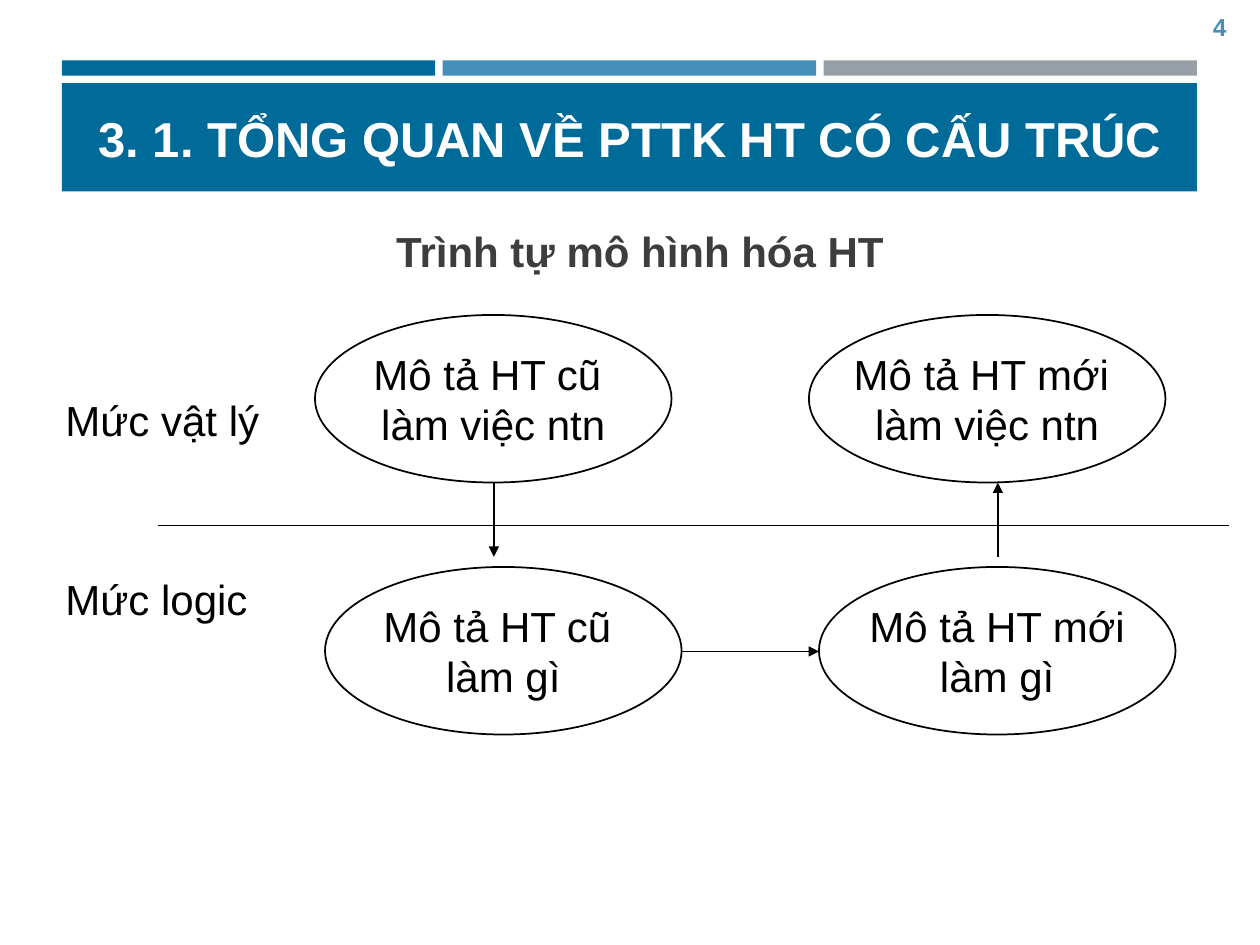
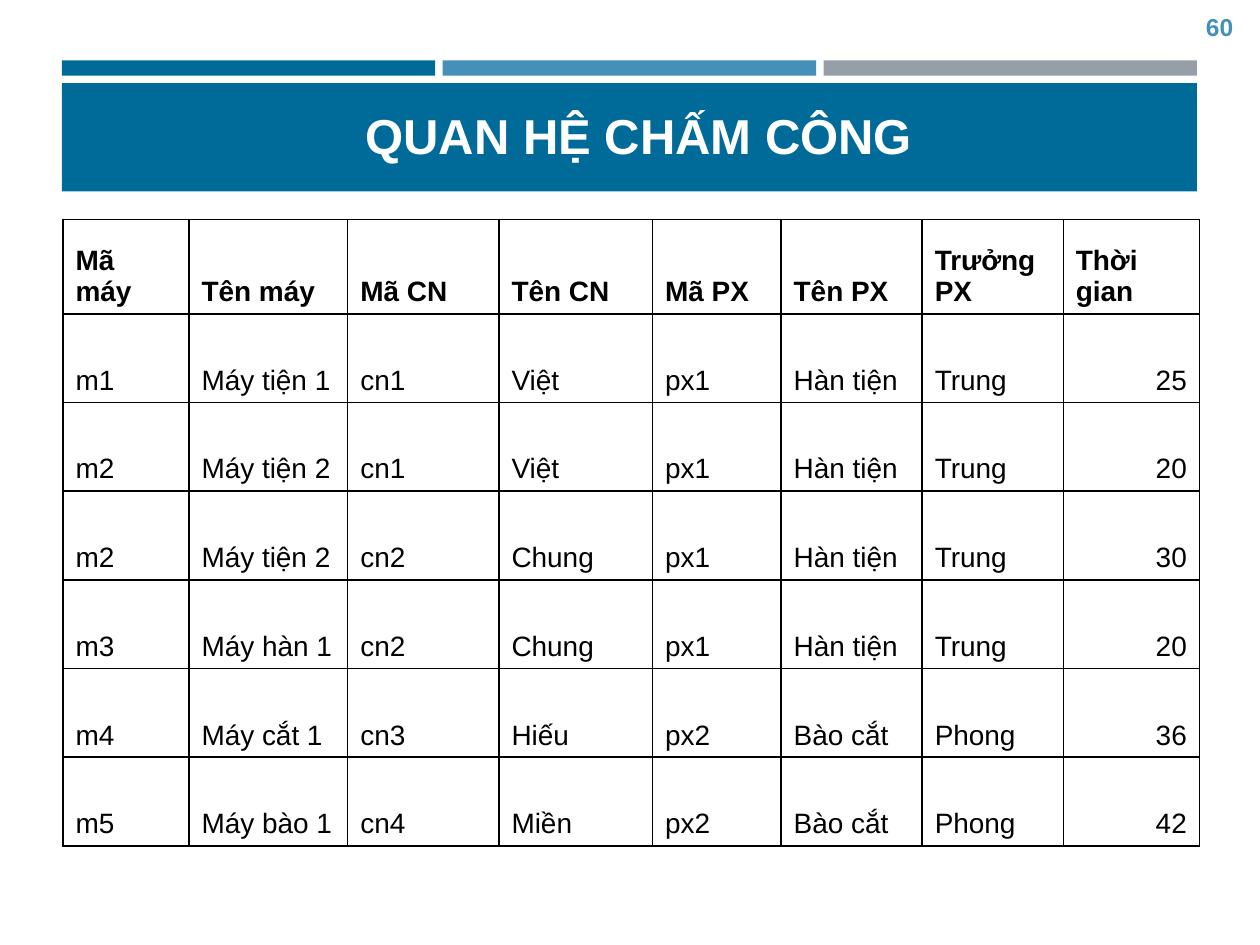
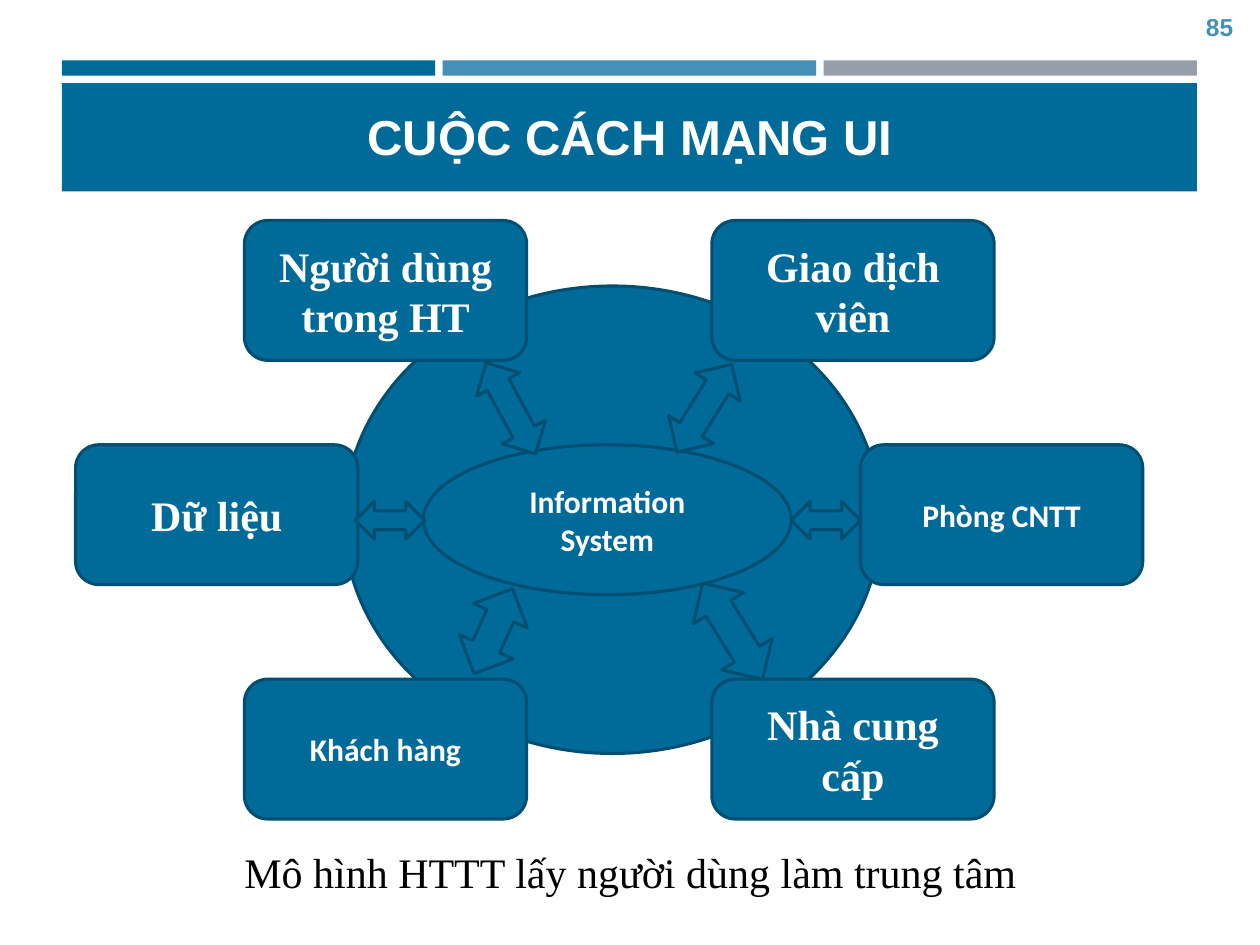
"""Build three lecture slides on structured system analysis and design."""
from dataclasses import dataclass

from lxml.etree import SubElement
from pptx import Presentation
from pptx.dml.color import RGBColor
from pptx.enum.shapes import MSO_CONNECTOR as Link, MSO_SHAPE as Shape
from pptx.enum.text import MSO_ANCHOR as Anchor, PP_ALIGN as Align
from pptx.oxml.ns import qn
from pptx.util import Inches, Pt


@dataclass(frozen=True)
class TextStyle:
    """Font, size, colour and weight of a text."""
    font: str
    size: int
    color: str
    bold: bool = False


@dataclass(frozen=True)
class Theme:
    """Colours, line widths and text styles of the deck."""
    blue: str = "006A99"
    sky: str = "4590B8"
    gray: str = "969FA7"
    navy: str = "004E71"
    black: str = "000000"
    thin: float = 1
    thick: float = 1.75
    title: TextStyle = TextStyle("Arial", 28, "FFFFFF", True)
    number: TextStyle = TextStyle("Arial", 14, "4590B8", True)
    heading: TextStyle = TextStyle("Arial", 24, "3D3D3D", True)
    diagram: TextStyle = TextStyle("Arial", 24, "000000")
    table_head: TextStyle = TextStyle("Arial", 16, "000000", True)
    table_body: TextStyle = TextStyle("Arial", 16, "000000")
    serif: TextStyle = TextStyle("Times New Roman", 24, "FFFFFF", True)
    sans: TextStyle = TextStyle("Calibri", 18, "FFFFFF", True)
    caption: TextStyle = TextStyle("Times New Roman", 24, "000000")


THEME = Theme()
COLUMNS, ROWS = 100, 75
EDGE, BAND_WIDTH, BAND_GAP = 4.9, 90.1, 0.6

ATTENDANCE = [
    ("Mã máy", "Tên máy", "Mã CN", "Tên CN", "Mã PX", "Tên PX", "Trưởng PX", "Thời gian"),
    ("m1", "Máy tiện 1", "cn1", "Việt", "px1", "Hàn tiện", "Trung", "25"),
    ("m2", "Máy tiện 2", "cn1", "Việt", "px1", "Hàn tiện", "Trung", "20"),
    ("m2", "Máy tiện 2", "cn2", "Chung", "px1", "Hàn tiện", "Trung", "30"),
    ("m3", "Máy hàn 1", "cn2", "Chung", "px1", "Hàn tiện", "Trung", "20"),
    ("m4", "Máy cắt 1", "cn3", "Hiếu", "px2", "Bào cắt", "Phong", "36"),
    ("m5", "Máy bào 1", "cn4", "Miền", "px2", "Bào cắt", "Phong", "42"),
]


def grid(*cells):
    """Turn grid cells of a tenth of an inch into lengths."""
    return [Inches(cell / 10) for cell in cells]


def write(frame, text, style, align=Align.CENTER, anchor=Anchor.MIDDLE, wrap=True):
    """Fill a text frame and format every run."""
    frame.text = text
    frame.word_wrap = wrap
    frame.vertical_anchor = anchor
    for para in frame.paragraphs:
        para.alignment = align
        for span in para.runs:
            span.font.name = style.font
            span.font.size = Pt(style.size)
            span.font.bold = style.bold
            span.font.color.rgb = RGBColor.from_string(style.color)


def add_text(page, area, text, style, align=Align.CENTER, anchor=Anchor.TOP):
    """Add a text box."""
    box = page.shapes.add_textbox(*grid(*area))
    write(box.text_frame, text, style, align, anchor)


def add_figure(page, kind, area, fill=None, line=None, width=THEME.thin, turn=0):
    """Add a preset shape with the given fill and outline."""
    figure = page.shapes.add_shape(kind, *grid(*area))
    figure.shadow.inherit = False
    figure.rotation = turn
    if fill:
        figure.fill.solid()
        figure.fill.fore_color.rgb = RGBColor.from_string(fill)
    else:
        figure.fill.background()
    if line:
        figure.line.color.rgb = RGBColor.from_string(line)
        figure.line.width = Pt(width)
    else:
        figure.line.fill.background()
    return figure


def add_blue(page, kind, area, text="", style=THEME.sans, turn=0):
    """Add a blue shape with a navy outline."""
    figure = add_figure(page, kind, area, THEME.blue, THEME.navy, THEME.thick, turn)
    if text:
        write(figure.text_frame, text, style)


def add_line(page, start, end, arrow=True):
    """Add a straight black line, with an arrowhead at its end if wanted."""
    line = page.shapes.add_connector(Link.STRAIGHT, *grid(*start, *end))
    line.line.color.rgb = RGBColor.from_string(THEME.black)
    line.line.width = Pt(THEME.thin)
    if arrow:
        SubElement(line.line._get_or_add_ln(), qn("a:tailEnd"), type="triangle")
    SubElement(line._element.spPr, qn("a:effectLst"))


def add_page(deck, number, title, title_area):
    """Add a page with its bands, title and page number."""
    page = deck.slides.add_slide(deck.slide_layouts[6])
    width = (BAND_WIDTH - 2 * BAND_GAP) / 3
    for index, color in enumerate((THEME.blue, THEME.sky, THEME.gray)):
        left = EDGE + index * (width + BAND_GAP)
        add_figure(page, Shape.RECTANGLE, (left, 4.8, width, 1.2), color)
    add_figure(page, Shape.RECTANGLE, (EDGE, 6.6, BAND_WIDTH, 8.6), THEME.blue)
    add_text(page, title_area, title, THEME.title, anchor=Anchor.BOTTOM)
    add_text(page, (93.6, 0.1, 6.4, 4), str(number), THEME.number, anchor=Anchor.MIDDLE)
    return page


def border_cell(cell):
    """Draw a thin black border on all sides of a table cell."""
    properties = cell._tc.get_or_add_tcPr()
    for side in ("lnL", "lnR", "lnT", "lnB"):
        edge = SubElement(properties, qn(f"a:{side}"), w=str(Pt(THEME.thin)))
        fill = SubElement(edge, qn("a:solidFill"))
        SubElement(fill, qn("a:srgbClr"), val=THEME.black)


def add_grid_table(page, left, top, rows, widths, heights):
    """Add a plain bordered table with a bold head and numbers at the right."""
    area = grid(left, top, sum(widths), sum(heights))
    table = page.shapes.add_table(len(rows), len(widths), *area).table
    table.first_row = table.horz_banding = False
    for column, width in zip(table.columns, grid(*widths)):
        column.width = width
    for line, height in zip(table.rows, grid(*heights)):
        line.height = height
    for row, texts in enumerate(rows):
        style = THEME.table_body if row else THEME.table_head
        for column, text in enumerate(texts):
            cell = table.cell(row, column)
            align = Align.RIGHT if text.isdigit() else Align.LEFT
            write(cell.text_frame, text, style, align)
            cell.vertical_anchor = Anchor.BOTTOM
            border_cell(cell)
            cell.fill.background()


def build_modelling(deck):
    """Build the page on the order of system modelling."""
    page = add_page(deck, 4, "3. 1. TỔNG QUAN VỀ PTTK HT CÓ CẤU TRÚC", (2.1, 3.8, 95.8, 10))
    add_text(page, (5.8, 17.4, 90, 6), "Trình tự mô hình hóa HT", THEME.heading)
    width, height, step = 28.3, 13.3, 39.2
    levels = [
        (25, 25, ("Mô tả HT cũ \nlàm việc ntn", "Mô tả HT mới \nlàm việc ntn")),
        (25.8, 45, ("Mô tả HT cũ \nlàm gì", "Mô tả HT mới\nlàm gì")),
    ]
    for left, top, texts in levels:
        for index, text in enumerate(texts):
            area = (left + index * step, top, width, height)
            oval = add_figure(page, Shape.OVAL, area, line=THEME.black)
            write(oval.text_frame, text, THEME.diagram, wrap=False)
    add_line(page, (12.5, 41.7), (97.5, 41.7), arrow=False)
    add_line(page, (39.2, 38.3), (39.2, 44.2))
    add_line(page, (54.1, 51.7), (65, 51.7))
    add_line(page, (79.2, 44.2), (79.2, 38.3))
    for top, text in ((30.8, "Mức vật lý"), (45, "Mức logic")):
        add_text(page, (4.2, top, 17.5, 5), text, THEME.diagram, Align.LEFT)


def build_attendance(deck):
    """Build the page with the attendance relation."""
    page = add_page(deck, 60, "QUAN HỆ CHẤM CÔNG", (6.4, 7.5, 88.6, 6))
    widths = (10, 12.6, 12, 12.2, 10.2, 11.2, 11.2, 10.8)
    add_grid_table(page, 5, 17.4, ATTENDANCE, widths, [7.5] + [7.04] * 6)


def build_user_centre(deck):
    """Build the page with the user-centred information system."""
    page = add_page(deck, 85, "CUỘC CÁCH MẠNG UI", (0, 6.1, COLUMNS, 7.5))
    add_blue(page, Shape.OVAL, (27.3, 22.7, 42.6, 37.1))
    add_blue(page, Shape.OVAL, (33.6, 35.3, 29.2, 11.9), "Information System")
    parties = [
        (56.5, 17.5, "Giao dịch viên", THEME.serif),
        (68.3, 35.3, "Phòng CNTT", THEME.sans),
        (56.5, 53.9, "Nhà cung cấp", THEME.serif),
        (19.4, 17.5, "Người dùng trong HT", THEME.serif),
        (6, 35.3, "Dữ liệu", THEME.serif),
        (19.4, 53.9, "Khách hàng", THEME.sans),
    ]
    for left, top, text, style in parties:
        add_blue(page, Shape.ROUNDED_RECTANGLE, (left, top, 22.4, 11.1), text, style)
    slanted = [
        ((38.6, 28.3, 3.9, 8.2), 331.5),
        ((53.8, 28.3, 4.2, 8.2), 31.9),
        ((36.8, 46.4, 4.7, 7.4), 24.5),
        ((55.8, 45.6, 4.7, 9), 328.1),
    ]
    for area, turn in slanted:
        add_blue(page, Shape.UP_DOWN_ARROW, area, turn=turn)
    for left in (28.2, 62.8):
        add_blue(page, Shape.LEFT_RIGHT_ARROW, (left, 39.8, 5.5, 3))
    add_text(page, (4.2, 66.7, 92.5, 5), "Mô hình HTTT lấy người dùng làm trung tâm ", THEME.caption)


def main():
    """Build the deck and save it."""
    deck = Presentation()
    deck.slide_width, deck.slide_height = grid(COLUMNS, ROWS)
    build_modelling(deck)
    build_attendance(deck)
    build_user_centre(deck)
    deck.save("out.pptx")


if __name__ == "__main__":
    main()
